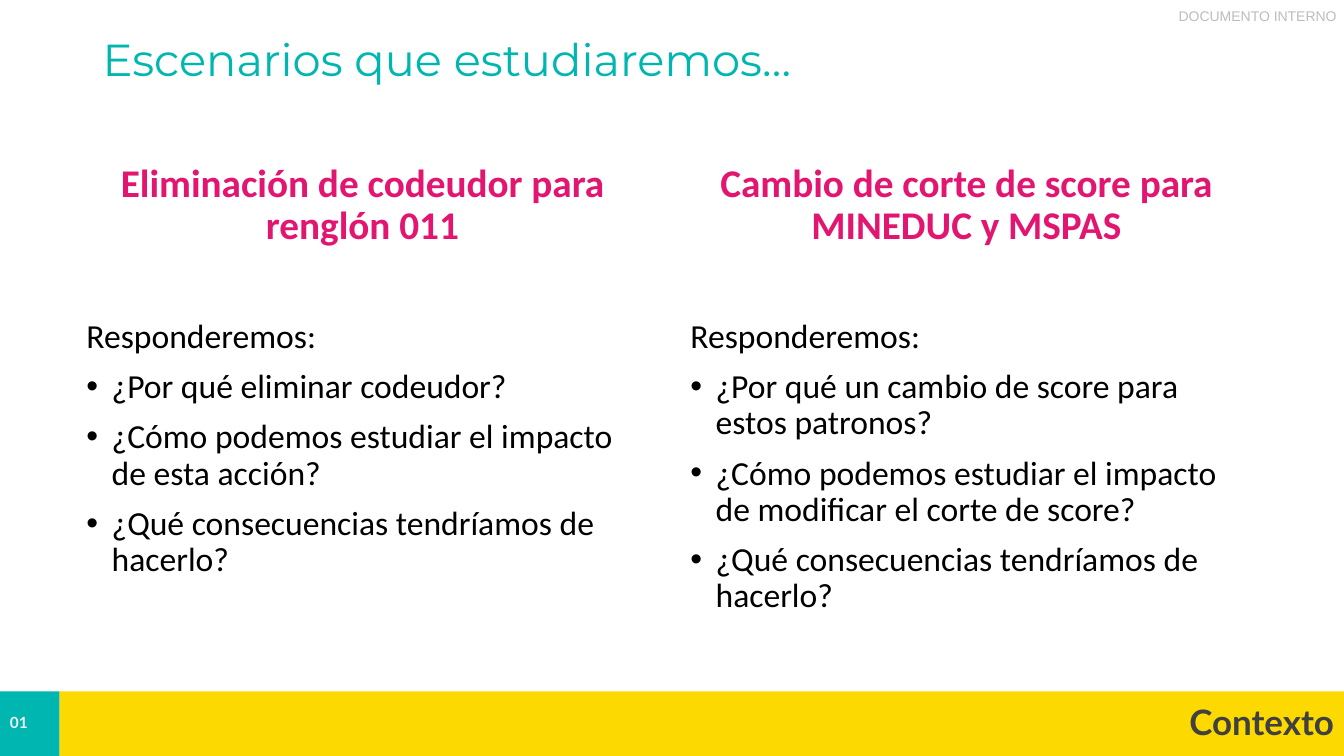
"""Build the slide that presents the two scenarios under study."""
from dataclasses import dataclass, field
from typing import Any

from lxml.etree import SubElement
from pptx import Presentation
from pptx.dml.color import RGBColor as Rgb
from pptx.enum.shapes import MSO_SHAPE as Preset
from pptx.enum.text import MSO_ANCHOR as Anchor, PP_ALIGN as Align
from pptx.oxml.ns import qn
from pptx.util import Inches, Pt

COLORS = {
    "teal": "00B6B0", "pink": "E21570", "yellow": "FCD900", "black": "000000",
    "dark": "404040", "light": "F2F2F2", "gray": "BDBDBD",
}


@dataclass
class Style:
    font: str
    size: float
    color: str
    bold: bool = False
    align: Any = Align.LEFT
    before: float = 0
    spacing: float = 0.9
    bullet: bool = False


@dataclass
class Block:
    place: tuple[float, float, float, float]
    lines: list[tuple[str, Style]]
    fill: str = ""
    frame: dict[str, Any] = field(default_factory=dict)


LABEL = Style("Arial", 10, "gray", spacing=1)
TITLE = Style("Montserrat", 32, "teal")
HEADING = Style("Calibri", 28, "pink", bold=True, align=Align.CENTER)
INTRO = Style("Calibri", 24, "black", before=51)
QUESTION = Style("Calibri", 24, "black", before=10, bullet=True)
SECTION = Style("Lato", 25, "dark", bold=True, align=Align.RIGHT)
NUMBER = Style("Lato", 11, "light", bold=True)

MIDDLE = {"vertical_anchor": Anchor.MIDDLE}
NO_MARGINS = {f"margin_{side}": 0 for side in ("left", "top", "right", "bottom")}
FOOTER_TOP, FOOTER_HEIGHT, NUMBER_WIDTH = 6.86, 0.64, 0.59
PAGE_WIDTH, PAGE_HEIGHT = 13.33, 7.5


def scenario(left: float, heading: str, questions: list[str]) -> Block:
    lines = [(heading, HEADING), ("Responderemos:", INTRO)]
    lines += [(question, QUESTION) for question in questions]
    return Block((left, 1.57, 5.67, 4.76), lines)


BLOCKS = [
    Block((11.69, 0.07, 1.61, 0.17), [("DOCUMENTO INTERNO", LABEL)], frame=NO_MARGINS),
    Block((0.92, 0.19, 11.5, 0.85), [("Escenarios que estudiaremos…", TITLE)], frame=MIDDLE),
    scenario(0.76, "Eliminación de codeudor para renglón 011", [
        "¿Por qué eliminar codeudor?",
        "¿Cómo podemos estudiar el impacto de esta acción?",
        "¿Qué consecuencias tendríamos de hacerlo?",
    ]),
    scenario(6.75, "Cambio de corte de score para MINEDUC y MSPAS", [
        "¿Por qué un cambio de score para estos patronos?",
        "¿Cómo podemos estudiar el impacto de modificar el corte de score?",
        "¿Qué consecuencias tendríamos de hacerlo?",
    ]),
    Block((NUMBER_WIDTH, FOOTER_TOP, PAGE_WIDTH - NUMBER_WIDTH, FOOTER_HEIGHT),
          [("Contexto", SECTION)], "yellow", MIDDLE),
    Block((0, FOOTER_TOP, NUMBER_WIDTH, FOOTER_HEIGHT), [("01", NUMBER)], "teal", MIDDLE),
]


def set_all(target: Any, values: dict[str, Any]) -> None:
    for name, value in values.items():
        setattr(target, name, value)


def add_bullet(para: Any) -> None:
    properties = para._p.get_or_add_pPr()
    properties.set("marL", str(Inches(0.25)))
    properties.set("indent", str(Inches(-0.25)))
    SubElement(properties, qn("a:buFont"), typeface="Arial")
    SubElement(properties, qn("a:buChar"), char="•")


def write_line(para: Any, text: str, style: Style) -> None:
    set_all(para, {"alignment": style.align, "line_spacing": style.spacing,
                   "space_before": Pt(style.before)})
    if style.bullet:
        add_bullet(para)
    span = para.add_run()
    span.text = text
    set_all(span.font, {"name": style.font, "size": Pt(style.size), "bold": style.bold})
    span.font.color.rgb = Rgb.from_string(COLORS[style.color])


def draw_block(page: Any, block: Block) -> None:
    place = [Inches(length) for length in block.place]
    if block.fill:
        box = page.shapes.add_shape(Preset.RECTANGLE, *place)
        box.shadow.inherit = False
        box.fill.solid()
        box.fill.fore_color.rgb = Rgb.from_string(COLORS[block.fill])
        box.line.fill.background()
    else:
        box = page.shapes.add_textbox(*place)
    frame = box.text_frame
    set_all(frame, {"word_wrap": True, **block.frame})
    for index, (text, style) in enumerate(block.lines):
        para = frame.add_paragraph() if index else frame.paragraphs[0]
        write_line(para, text, style)


def main() -> None:
    deck = Presentation()
    set_all(deck, {"slide_width": Inches(PAGE_WIDTH), "slide_height": Inches(PAGE_HEIGHT)})
    page = deck.slides.add_slide(deck.slide_layouts[6])
    for block in BLOCKS:
        draw_block(page, block)
    deck.save("out.pptx")


if __name__ == "__main__":
    main()
